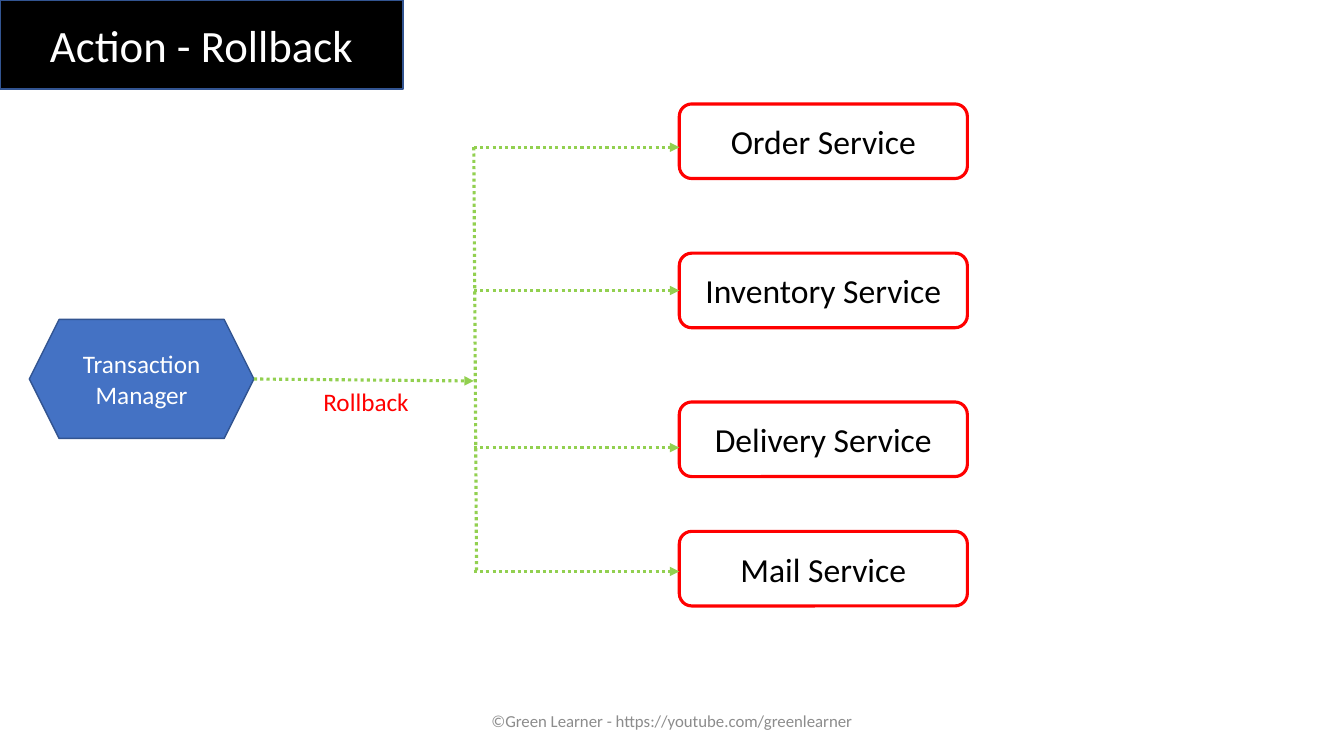
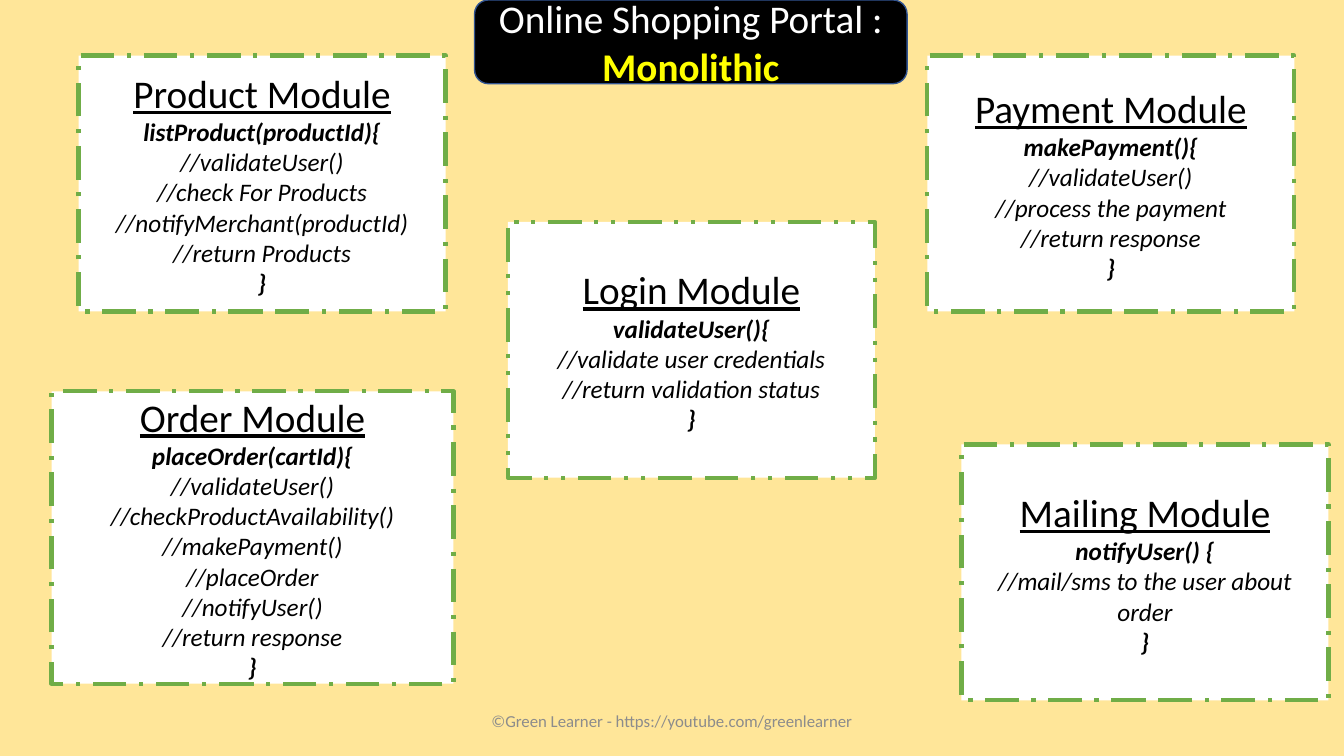
import pptx
import pptx.util
import pptx.dml.color
import pptx.enum.dml
import pptx.enum.shapes
import pptx.enum.text
import pptx.oxml.ns
from lxml import etree

Cm = pptx.util.Cm
Pt = pptx.util.Pt
RGB = pptx.dml.color.RGBColor
SHAPE = pptx.enum.shapes.MSO_SHAPE
DASH = pptx.enum.dml.MSO_LINE
ALIGN = pptx.enum.text.PP_ALIGN
MIDDLE = pptx.enum.text.MSO_ANCHOR.MIDDLE
qn = pptx.oxml.ns.qn

FONT = "Calibri"
BLACK = RGB(0x00, 0x00, 0x00)
WHITE = RGB(0xFF, 0xFF, 0xFF)
RED = RGB(0xFF, 0x00, 0x00)
YELLOW = RGB(0xFF, 0xFF, 0x00)
GRAY = RGB(0x8C, 0x8C, 0x8C)
BLUE = RGB(0x44, 0x72, 0xC4)
NAVY = RGB(0x32, 0x54, 0x91)
LIME = RGB(0x92, 0xD0, 0x50)
GREEN = RGB(0x70, 0xAD, 0x47)
SAND = RGB(0xFF, 0xE6, 0x99)

FOOTER = "©Green Learner - https://youtube.com/greenlearner"

# Service name, top of its box and height of its arrow, in cm below the trunk's top
SERVICES = [
    ("Order Service", -1.09, 0),
    ("Inventory Service", 2.67, 3.61),
    ("Delivery Service", 6.42, 7.57),
    ("Mail Service", 9.68, 10.69),
]

# Box in cm, border dash, heading, code lines
MODULES = [
    ((1.98, 1.4, 9.25, 6.45), DASH.LONG_DASH_DOT, "Product Module",
     ["listProduct(productId){", "//validateUser()", "//check For Products",
      "//notifyMerchant(productId)", "//return Products", "}"]),
    ((12.8, 5.59, 9.25, 6.45), DASH.DASH_DOT_DOT, "Login Module",
     ["validateUser(){", "//validate user credentials",
      "//return validation status", "}"]),
    ((1.3, 9.86, 10.13, 7.37), DASH.LONG_DASH_DOT, "Order Module",
     ["placeOrder(cartId){", "//validateUser()",
      "//checkProductAvailability()", "//makePayment()", "//placeOrder",
      "//notifyUser()", "//return response", "}"]),
    ((23.37, 1.4, 9.25, 6.45), DASH.LONG_DASH_DOT, "Payment Module",
     ["makePayment(){", "//validateUser()", "//process the payment",
      "//return response", "}"]),
    ((24.23, 11.2, 9.25, 6.45), DASH.LONG_DASH_DOT, "Mailing Module",
     ["notifyUser() {", "//mail/sms to the user about order", "}"]),
]


def style(run, size, color, bold=False, italic=False, under=False):
    font = run.font
    font.name, font.size, font.color.rgb = FONT, Pt(size), color
    font.bold, font.italic, font.underline = bold, italic, under


def write(shape, text, size, color, align=ALIGN.CENTER):
    frame = shape.text_frame
    frame.word_wrap = True
    frame.vertical_anchor = MIDDLE
    frame.text = text
    for para in frame.paragraphs:
        para.alignment = align
        for run in para.runs:
            style(run, size, color)
    return frame


def label(slide, box, text, size, color, align=ALIGN.CENTER):
    shape = slide.shapes.add_textbox(*map(Cm, box))
    write(shape, text, size, color, align)


def panel(slide, kind, box, fill, edge, width):
    shape = slide.shapes.add_shape(kind, *map(Cm, box))
    shape.shadow.inherit = False
    shape.fill.solid()
    shape.fill.fore_color.rgb = fill
    shape.line.color.rgb = edge
    shape.line.width = Pt(width)
    return shape


def dotted(slide, start, end, arrow=True):
    line = slide.shapes.add_connector(
        pptx.enum.shapes.MSO_CONNECTOR.STRAIGHT, *map(Cm, start + end))
    line.line.color.rgb = LIME
    line.line.width = Pt(2.25)
    line.line.dash_style = DASH.ROUND_DOT
    props = line.element.spPr
    if arrow:
        tail = etree.SubElement(props.find(qn("a:ln")), qn("a:tailEnd"))
        tail.set("type", "triangle")
    etree.SubElement(props, qn("a:effectLst"))


def title(slide, kind, box, text, size):
    shape = panel(slide, kind, box, BLACK, NAVY, 1)
    return write(shape, text, size, WHITE)


def sender(slide, box):
    """Transaction manager with its labelled arrow to the right."""
    left, top, width, height = box
    shape = panel(slide, SHAPE.HEXAGON, box, BLUE, NAVY, 1)
    write(shape, "Transaction Manager", 18, WHITE)
    right, mid = left + width, top + height / 2
    dotted(slide, (right, mid), (right + 5.54, mid + 0.05))
    label(slide, (right + 1.5, mid + 0.05, 2.95, 1.02), "Rollback", 18, RED,
          ALIGN.LEFT)


def fork(slide, left, top):
    """Trunk from the given point down, with an arrow to each service."""
    reach = 5.18
    for name, drop, entry in SERVICES:
        shape = panel(slide, SHAPE.ROUNDED_RECTANGLE,
                      (left + reach, top + drop, 7.26, 1.88), WHITE, RED, 2.25)
        write(shape, name, 24, BLACK)
        dotted(slide, (left, top + entry), (left + reach, top + entry))
    dotted(slide, (left, top), (left + 0.07, top + 10.74), arrow=False)


def module(slide, box, dash, head, code):
    shape = panel(slide, SHAPE.RECTANGLE, box, WHITE, GREEN, 3)
    shape.line.dash_style = dash
    frame = write(shape, "\n".join([head] + code), 18, BLACK)
    first, *rest = frame.paragraphs
    style(first.runs[0], 28, BLACK, under=True)
    for para in rest:
        bold = not para.text.startswith("//")
        style(para.runs[0], 18, BLACK, bold=bold, italic=True)


def blank(deck):
    slide = deck.slides.add_slide(deck.slide_layouts[6])
    label(slide, (11.22, 17.66, 11.43, 1.01), FOOTER, 12, GRAY)
    return slide


def rollback(deck):
    slide = blank(deck)
    sender(slide, (0.74, 8.05, 5.66, 3))
    fork(slide, 11.94, 3.71)
    title(slide, SHAPE.RECTANGLE, (0, 0, 10.16, 2.24), "Action - Rollback", 32)


def portal(deck):
    slide = blank(deck)
    slide.background.fill.solid()
    slide.background.fill.fore_color.rgb = SAND
    for parts in MODULES:
        module(slide, *parts)
    frame = title(slide, SHAPE.ROUNDED_RECTANGLE, (11.96, 0, 10.9, 2.11),
                  "Online Shopping Portal : ", 28)
    run = frame.paragraphs[0].add_run()
    run.text = "Monolithic"
    style(run, 28, YELLOW, bold=True)


def main():
    deck = pptx.Presentation()
    deck.slide_width, deck.slide_height = Cm(33.87), Cm(19.05)
    rollback(deck)
    portal(deck)
    deck.save("out.pptx")


if __name__ == "__main__":
    main()
